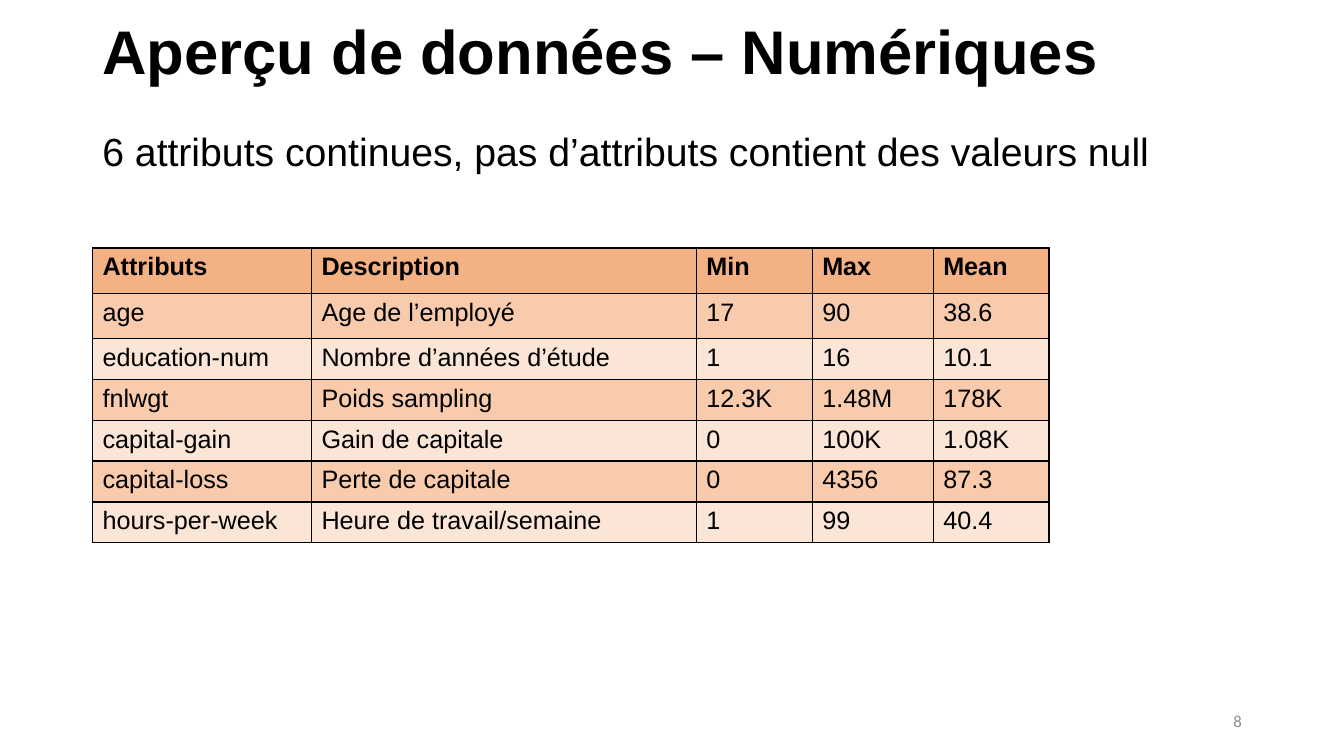
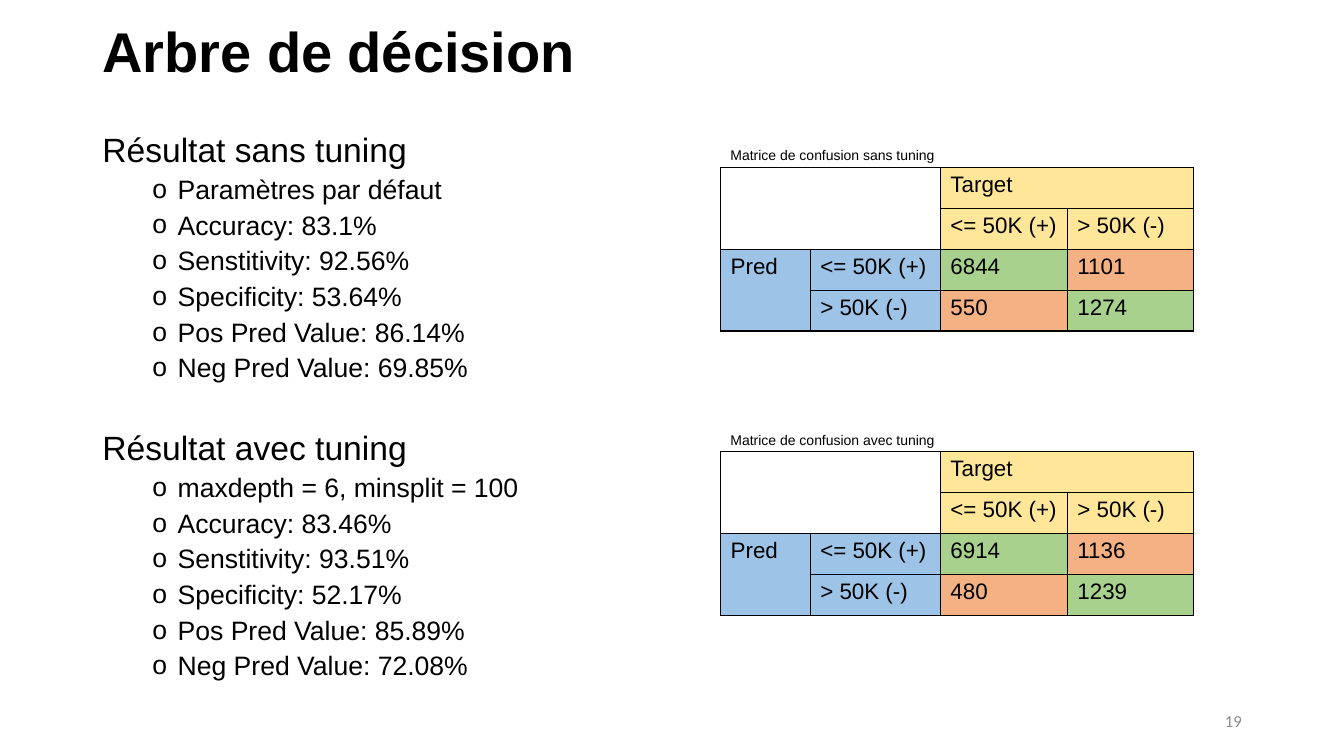
from lxml.etree import SubElement
from pptx import Presentation
from pptx.dml.color import RGBColor
from pptx.enum.text import MSO_ANCHOR as Anchor, PP_ALIGN as Align
from pptx.oxml.ns import qn
from pptx.util import Cm, Pt

# Shared style
FONT, NUMBER_FONT = "Arial", "Calibri"
BLACK, GREY = "000000", "8C8C8C"
ORANGE, PEACH, CREAM = "F4B183", "F8CBAD", "FBE5D6"
YELLOW, BLUE, GREEN = "FFE699", "9DC3E6", "A9D18E"
LEFT, WIDTH, BODY_TOP = 2.33, 29.21, 3.23
ROW = 1.03

# Content
ATTRIBUTES = [
    ["Attributs", "Description", "Min", "Max", "Mean"],
    ["age", "Age de l’employé", "17", "90", "38.6"],
    ["education-num", "Nombre d’années d’étude", "1", "16", "10.1"],
    ["fnlwgt", "Poids sampling", "12.3K", "1.48M", "178K"],
    ["capital-gain", "Gain de capitale", "0", "100K", "1.08K"],
    ["capital-loss", "Perte de capitale", "0", "4356", "87.3"],
    ["hours-per-week", "Heure de travail/semaine", "1", "99", "40.4"],
]
MEASURES = ["Accuracy", "Senstitivity", "Specificity",
            "Pos Pred Value", "Neg Pred Value"]
# Mode, parameters, measures, confusion counts, tops of text, caption, table
RESULTS = [
    ("sans tuning", "Paramètres par défaut",
     ["83.1%", "92.56%", "53.64%", "86.14%", "69.85%"],
     ["6844", "1101", "550", "1274"], BODY_TOP, 3.56, 4.22),
    ("avec tuning", "maxdepth = 6, minsplit = 100",
     ["83.46%", "93.51%", "52.17%", "85.89%", "72.08%"],
     ["6914", "1136", "480", "1239"], 10.74, 10.74, 11.38),
]


def rgb(color):
    return RGBColor.from_string(color)


def style(p, size, color=BLACK, bold=False, font=FONT):
    for r in p.runs:
        r.font.name, r.font.size, r.font.bold = font, Pt(size), bold
        r.font.color.rgb = rgb(color)


def add_text(s, text, left, top, width, height, size, anchor=Anchor.TOP,
             spacing=None, align=None, **look):
    tf = s.shapes.add_textbox(Cm(left), Cm(top), Cm(width), Cm(height)).text_frame
    tf.word_wrap = True
    tf.vertical_anchor = anchor
    p = tf.paragraphs[0]
    p.text = text
    p.line_spacing, p.alignment = spacing, align
    style(p, size, **look)
    return tf


def add_bullets(tf, items):
    for item in items:
        p = tf.add_paragraph()
        p.text = item
        p.level = 1
        p.line_spacing, p.space_before = 0.9, Pt(5)
        pPr = p._p.get_or_add_pPr()
        pPr.set("marL", str(Cm(1.9)))
        pPr.set("indent", str(Cm(-0.64)))
        SubElement(pPr, qn("a:buFont"), typeface=FONT)
        SubElement(pPr, qn("a:buChar"), char="o")
        style(p, 19)


def add_borders(cell):
    tcPr = cell._tc.get_or_add_tcPr()
    for side in ("a:lnL", "a:lnR", "a:lnT", "a:lnB"):
        ln = SubElement(tcPr, qn(side), w=str(Pt(1)))
        fill = SubElement(ln, qn("a:solidFill"))
        SubElement(fill, qn("a:srgbClr"), val=BLACK)


def add_table(s, cells, fills, left, top, widths, heights, size, bold_rows=()):
    """Draw a bordered table; a fill of None leaves the cell clear."""
    tbl = s.shapes.add_table(len(heights), len(widths), Cm(left), Cm(top),
                             Cm(sum(widths)), Cm(sum(heights))).table
    tbl.first_row = tbl.horz_banding = False
    for col, width in zip(tbl.columns, widths):
        col.width = Cm(width)
    for i, height in enumerate(heights):
        tbl.rows[i].height = Cm(height)
        for j, text in enumerate(cells[i]):
            cell = tbl.cell(i, j)
            add_borders(cell)
            if fills[i][j]:
                cell.fill.solid()
                cell.fill.fore_color.rgb = rgb(fills[i][j])
            else:
                cell.fill.background()
            cell.text_frame.text = text
            style(cell.text_frame.paragraphs[0], size, bold=i in bold_rows)
    return tbl


def add_confusion(s, counts, top):
    low, high = "<= 50K (+)", "> 50K (-)"
    cells = [["", "", "Target", ""],
             ["", "", low, high],
             ["Pred", low, *counts[:2]],
             ["", high, *counts[2:]]]
    fills = [[None, None, YELLOW, YELLOW]] * 2 + [
        [BLUE, BLUE, GREEN, ORANGE],
        [BLUE, BLUE, ORANGE, GREEN]]
    tbl = add_table(s, cells, fills, 18.16, top, [2.26, 3.28, 3.2, 3.17],
                    [ROW] * 4, 16)
    for first, last in [((0, 0), (1, 1)), ((0, 2), (0, 3)), ((2, 0), (3, 0))]:
        tbl.cell(*first).merge(tbl.cell(*last))


def add_slide(prs, title, size, number):
    s = prs.slides.add_slide(prs.slide_layouts[6])
    add_text(s, title, LEFT, -0.46, WIDTH, 3.68, size, Anchor.MIDDLE, 0.9,
             bold=True)
    add_text(s, number, 23.93, 17.65, 7.62, 1.02, 12, Anchor.MIDDLE,
             align=Align.RIGHT, color=GREY, font=NUMBER_FONT)
    return s


def attributes_slide(prs):
    s = add_slide(prs, "Aperçu de données – Numériques", 44, "8")
    add_text(s, "6 attributs continues, pas d’attributs contient des valeurs null",
             LEFT, BODY_TOP, WIDTH, 2, 28, spacing=0.9)
    colors = [ORANGE] + [PEACH, CREAM] * 3
    add_table(s, ATTRIBUTES, [[c] * 5 for c in colors], LEFT, 6.25,
              [5.52, 9.7, 2.92, 3.05, 2.92], [1.14] * 2 + [ROW] * 5, 18,
              bold_rows=(0,))


def tree_slide(prs):
    s = add_slide(prs, "Arbre de décision", 40, "19")
    for mode, params, values, counts, top, caption_top, table_top in RESULTS:
        tf = add_text(s, f"Résultat {mode}", LEFT, top, 13.7, 7.52, 24,
                      spacing=0.9)
        add_bullets(tf, [params] + [f"{m}: {v}" for m, v in zip(MEASURES, values)])
        add_text(s, f"Matrice de confusion {mode}", 18.16, caption_top,
                 7.14, 0.69, 10)
        add_confusion(s, counts, table_top)


def main():
    prs = Presentation()
    prs.slide_width, prs.slide_height = Cm(33.87), Cm(19.05)
    attributes_slide(prs)
    tree_slide(prs)
    prs.save("out.pptx")


if __name__ == "__main__":
    main()
